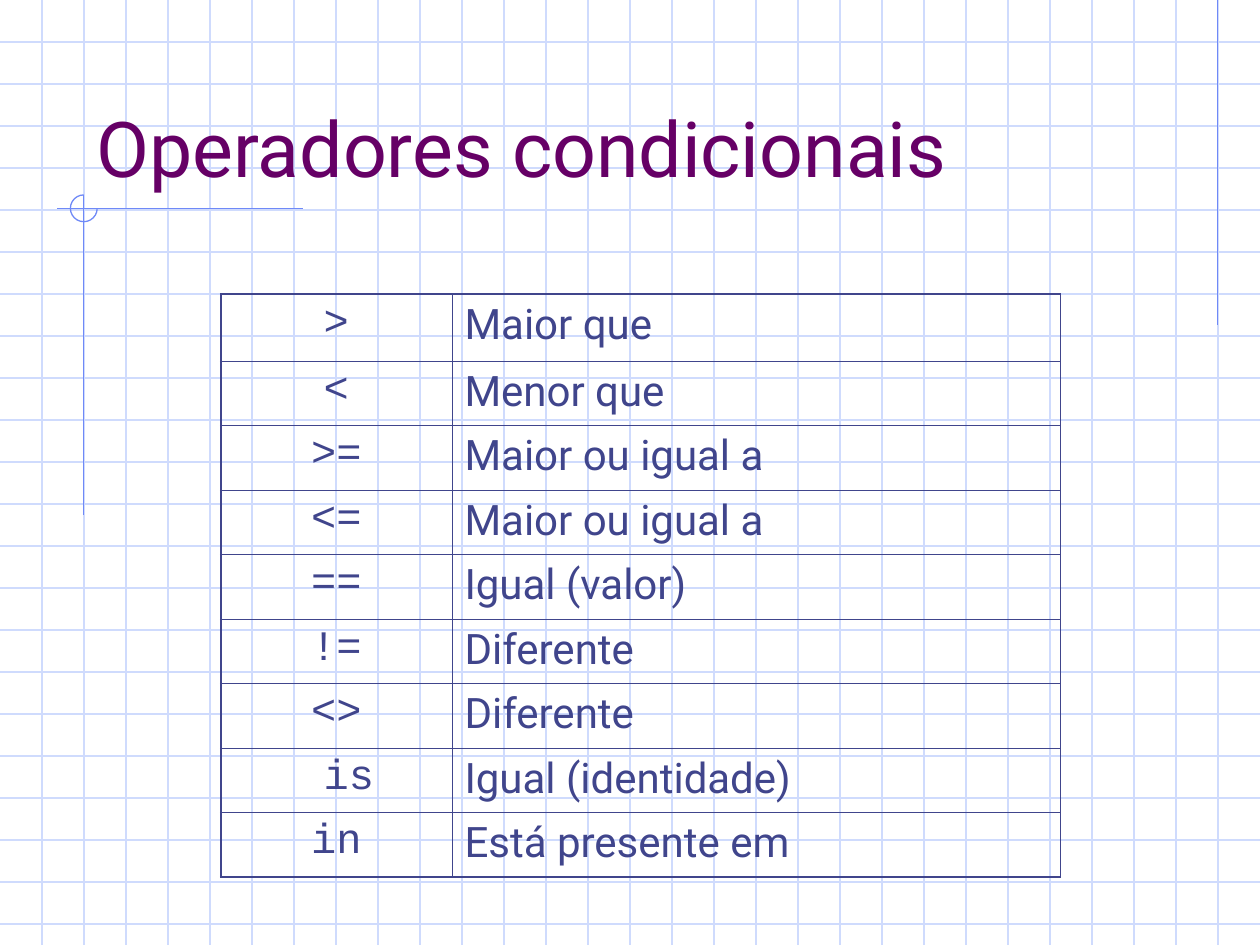
"""Build a slide with a table of conditional operators on a squared-paper background."""
from lxml.etree import SubElement
from pptx import Presentation
from pptx.dml.color import RGBColor
from pptx.enum.shapes import MSO_CONNECTOR, MSO_SHAPE
from pptx.enum.text import MSO_ANCHOR, PP_ALIGN
from pptx.oxml.ns import qn
from pptx.util import Cm, Pt

COLORS = {"grid": "CFDBFD", "accent": "6F89F7", "title": "660066", "table": "40458C"}
OPERATORS = [
    (">", "Maior que"),
    ("<", "Menor que"),
    (">=", "Maior ou igual a"),
    ("<=", "Maior ou igual a"),
    ("==", "Igual (valor)"),
    ("!=", "Diferente"),
    ("<>", "Diferente"),
    (" is", "Igual (identidade)"),
    ("in", "Está presente em"),
]
WIDTH, HEIGHT = 25.4, 19.05
GRID_STEP = WIDTH / 30


def write_text(text_frame, text, font="Roboto", size=24, color="table", align=PP_ALIGN.LEFT, before=0):
    paragraph = text_frame.paragraphs[0]
    paragraph.alignment = align
    paragraph.space_before = Pt(before)
    run = paragraph.add_run()
    run.text = text
    run.font.name = font
    run.font.size = Pt(size)
    run.font.color.rgb = RGBColor.from_string(COLORS[color])


def draw_line(shapes, start_x, start_y, end_x, end_y, color):
    connector = shapes.add_connector(
        MSO_CONNECTOR.STRAIGHT, Cm(start_x), Cm(start_y), Cm(end_x), Cm(end_y)
    )
    connector.line.color.rgb = RGBColor.from_string(COLORS[color])
    connector.line.width = Pt(0.75)
    SubElement(connector._element.spPr, qn("a:effectLst"))


presentation = Presentation()
presentation.slide_width, presentation.slide_height = Cm(WIDTH), Cm(HEIGHT)
slide = presentation.slides.add_slide(presentation.slide_layouts[5])
shapes = slide.shapes

for index in range(1, 23):
    draw_line(shapes, 0, index * GRID_STEP, WIDTH, index * GRID_STEP, "grid")
for index in range(1, 30):
    draw_line(shapes, index * GRID_STEP, 0, index * GRID_STEP, HEIGHT, "grid")

draw_line(shapes, 24.55, 0, 24.55, 6.55, "accent")
draw_line(shapes, 6.1, 4.2, 1.15, 4.2, "accent")
draw_line(shapes, 1.69, 3.93, 1.69, 10.39, "accent")

arc = shapes.add_shape(MSO_SHAPE.ARC, Cm(1.42), Cm(3.93), Cm(0.54), Cm(0.54))
arc.adjustments[0] = 0
arc.adjustments[1] = 162
arc.shadow.inherit = False
arc.fill.background()
arc.line.color.rgb = RGBColor.from_string(COLORS["accent"])
arc.line.width = Pt(0.75)

title = shapes.title
title.left, title.top, title.width, title.height = Cm(1.69), Cm(0.85), Cm(21.59), Cm(3.17)
title.text_frame.vertical_anchor = MSO_ANCHOR.BOTTOM
title.text_frame.word_wrap = True
write_text(title.text_frame, "Operadores condicionais", size=44, color="title")
shapes._spTree.append(title._element)

row_count = len(OPERATORS)
table = shapes.add_table(row_count, 2, Cm(4.45), Cm(5.93), Cm(16.93), Cm(11.73)).table
table.first_row = False
table.horz_banding = False
table.columns[0].width, table.columns[1].width = Cm(4.66), Cm(12.27)

for row, (operator, meaning) in enumerate(OPERATORS):
    table.rows[row].height = Cm(1.35 if row == 0 else 1.3)
    operator_cell, meaning_cell = table.cell(row, 0), table.cell(row, 1)
    write_text(operator_cell.text_frame, operator, font="Courier New", align=PP_ALIGN.CENTER, before=6)
    write_text(meaning_cell.text_frame, meaning, before=6)
    for column, cell in enumerate((operator_cell, meaning_cell)):
        outer_edges = {
            "a:lnL": column == 0,
            "a:lnR": column == 1,
            "a:lnT": row == 0,
            "a:lnB": row == row_count - 1,
        }
        properties = cell._tc.get_or_add_tcPr()
        for edge, is_outer in outer_edges.items():
            border = SubElement(properties, qn(edge), w=str(Pt(1.08 if is_outer else 0.45)))
            fill = SubElement(border, qn("a:solidFill"))
            SubElement(fill, qn("a:srgbClr"), val=COLORS["table"])
        cell.fill.background()

presentation.save("out.pptx")
